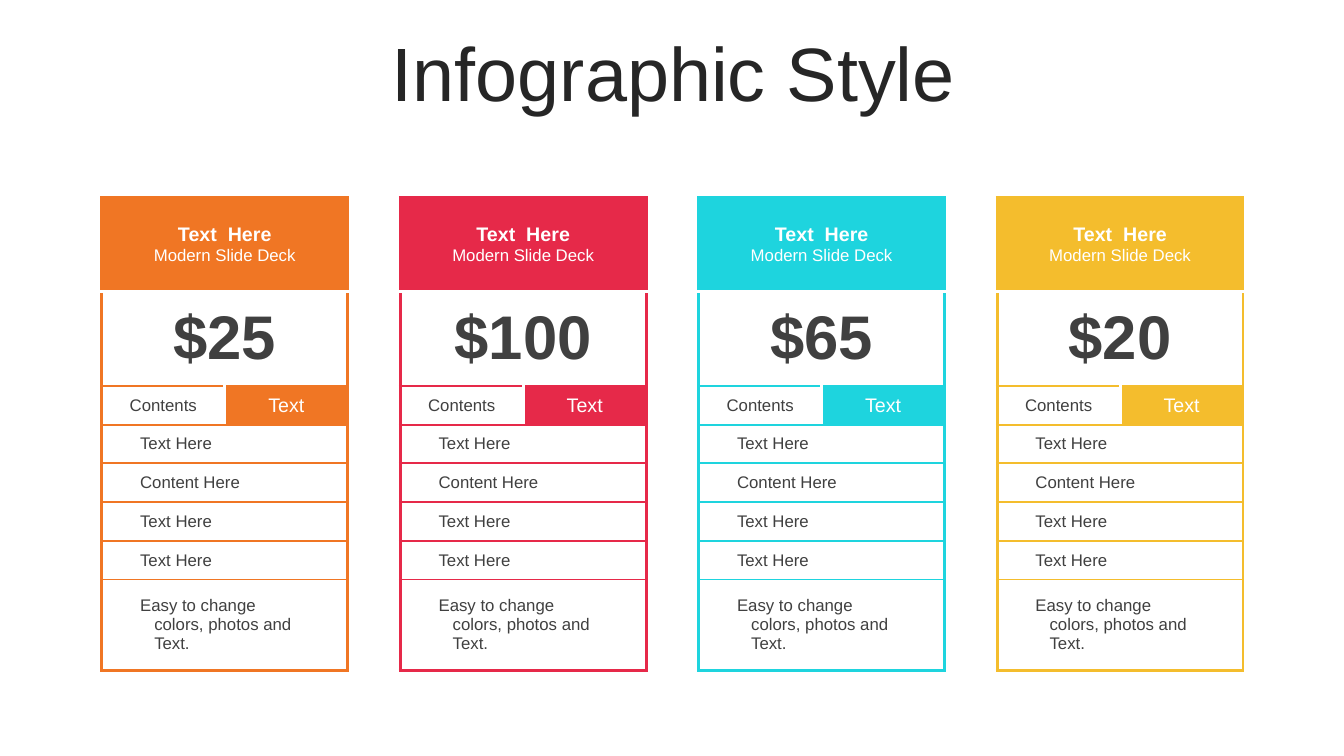
from dataclasses import dataclass
from typing import Optional

from lxml import etree
from pptx import Presentation, util as u
from pptx.dml import color as dml
from pptx.enum import text as et
from pptx.oxml import ns

WHITE, GREY, DARK = "FFFFFF", "404040", "262626"
FONT = "Arial"
THIN, THICK = 1.5, 2.25
TOP, WIDTH, HEIGHT = 1.96, 2.44, 4.69
LEFT, STEP = 1.01, 2.96
HEAD, PRICE, FOOT, SIDE = 0.93, 0.94, 0.9, 0.28
HANG = 0.14
ITEMS = ["Text Here", "Content Here", "Text Here", "Text Here"]
NOTE = "Easy to change colors, photos and Text."


@dataclass
class Plan:
    price: str
    tint: str


@dataclass
class Line:
    text: str
    size: float
    tint: str = GREY
    bold: bool = False
    mid: bool = True
    hang: float = 0


@dataclass
class Edge:
    tint: str
    width: float


@dataclass
class Box:
    row: int
    first: int
    last: int
    fill: str
    lines: list[Line]
    left: Optional[Edge]
    right: Optional[Edge]
    top: Edge
    base: Edge


PLANS = [
    Plan("$25", "F07624"),
    Plan("$100", "E62949"),
    Plan("$65", "1ED4DE"),
    Plan("$20", "F4BD2D"),
]


def rgb(tint: str) -> dml.RGBColor:
    return dml.RGBColor.from_string(tint)


def write(frame, lines: list[Line]) -> None:
    for num, line in enumerate(lines):
        para = frame.paragraphs[0] if num == 0 else frame.add_paragraph()
        para.text = line.text
        para.alignment = et.PP_ALIGN.CENTER if line.mid else et.PP_ALIGN.LEFT
        if line.hang:
            props = para._p.get_or_add_pPr()
            props.set("marL", str(u.Inches(line.hang)))
            props.set("indent", str(-u.Inches(line.hang)))
        font = para.font
        font.name, font.size, font.bold = FONT, u.Pt(line.size), line.bold
        font.color.rgb = rgb(line.tint)


def rule(cell, side: str, edge: Optional[Edge]) -> None:
    props = cell._tc.get_or_add_tcPr()
    line = etree.SubElement(props, ns.qn(f"a:ln{side}"))
    if edge is None:
        line.set("w", "0")
        etree.SubElement(line, ns.qn("a:noFill"))
        return
    line.set("w", str(u.Pt(edge.width)))
    fill = etree.SubElement(line, ns.qn("a:solidFill"))
    etree.SubElement(fill, ns.qn("a:srgbClr")).set("val", edge.tint)


def draw(table, box: Box) -> None:
    head = table.cell(box.row, box.first)
    if box.last > box.first:
        head.merge(table.cell(box.row, box.last))
    for col in range(box.first, box.last + 1):
        cell = table.cell(box.row, col)
        start, end = col == box.first, col == box.last
        rule(cell, "L", box.left if start else None)
        rule(cell, "R", box.right if start or end else None)
        rule(cell, "T", box.top)
        rule(cell, "B", box.base)
        cell.fill.solid()
        cell.fill.fore_color.rgb = rgb(box.fill)
        cell.vertical_anchor = et.MSO_ANCHOR.MIDDLE
        if not (start and box.lines):
            cell.margin_top = cell.margin_bottom = 0
    write(head.text_frame, box.lines)


def layout(plan: Plan) -> list[Box]:
    tint = plan.tint
    thin, thick, gap = Edge(tint, THIN), Edge(tint, THICK), Edge(WHITE, THICK)
    title = [Line("Text  Here", 14, WHITE, True), Line("Modern Slide Deck", 12, WHITE)]
    price = [Line(plan.price, 44, bold=True)]
    boxes = [
        Box(0, 0, 3, tint, title, thick, thick, thick, gap),
        Box(1, 0, 3, WHITE, price, thick, thick, gap, thin),
        Box(2, 0, 1, WHITE, [Line("Contents", 12)], thick, gap, thin, thin),
        Box(2, 2, 3, tint, [Line("Text", 14, WHITE)], gap, thick, thin, thin),
    ]
    body = [Line(item, 12, mid=False) for item in ITEMS]
    body.append(Line(NOTE, 12, mid=False, hang=HANG))
    for row, line in enumerate(body, 3):
        base = thick if line is body[-1] else thin
        boxes += [
            Box(row, 0, 0, WHITE, [], thick, None, thin, base),
            Box(row, 1, 2, WHITE, [line], None, None, thin, base),
            Box(row, 3, 3, WHITE, [], None, thick, thin, base),
        ]
    return boxes


def panel(slide, plan: Plan, left: float) -> None:
    count = len(ITEMS) + 1
    slim = (HEIGHT - HEAD - PRICE - FOOT) / count
    rows = [HEAD, PRICE, *[slim] * count, FOOT]
    half = WIDTH / 2 - SIDE
    cols = [SIDE, half, half, SIDE]
    table = slide.shapes.add_table(
        len(rows), len(cols), u.Inches(left), u.Inches(TOP), u.Inches(WIDTH), u.Inches(HEIGHT)
    ).table
    table.first_row = table.horz_banding = False
    for row, size in zip(table.rows, rows):
        row.height = u.Inches(size)
    for col, size in zip(table.columns, cols):
        col.width = u.Inches(size)
    for box in layout(plan):
        draw(table, box)


def main() -> None:
    deck = Presentation()
    deck.slide_width, deck.slide_height = u.Inches(13.33), u.Inches(7.5)
    slide = deck.slides.add_slide(deck.slide_layouts[6])
    title = slide.shapes.add_textbox(
        u.Inches(0.35), u.Inches(0.37), u.Inches(12.66), u.Inches(0.79)
    ).text_frame
    title.word_wrap = True
    title.vertical_anchor = et.MSO_ANCHOR.MIDDLE
    write(title, [Line("Infographic Style", 54, DARK)])
    title.paragraphs[0].line_spacing = 0.9
    for num, plan in enumerate(PLANS):
        panel(slide, plan, LEFT + num * STEP)
    deck.save("out.pptx")


if __name__ == "__main__":
    main()
